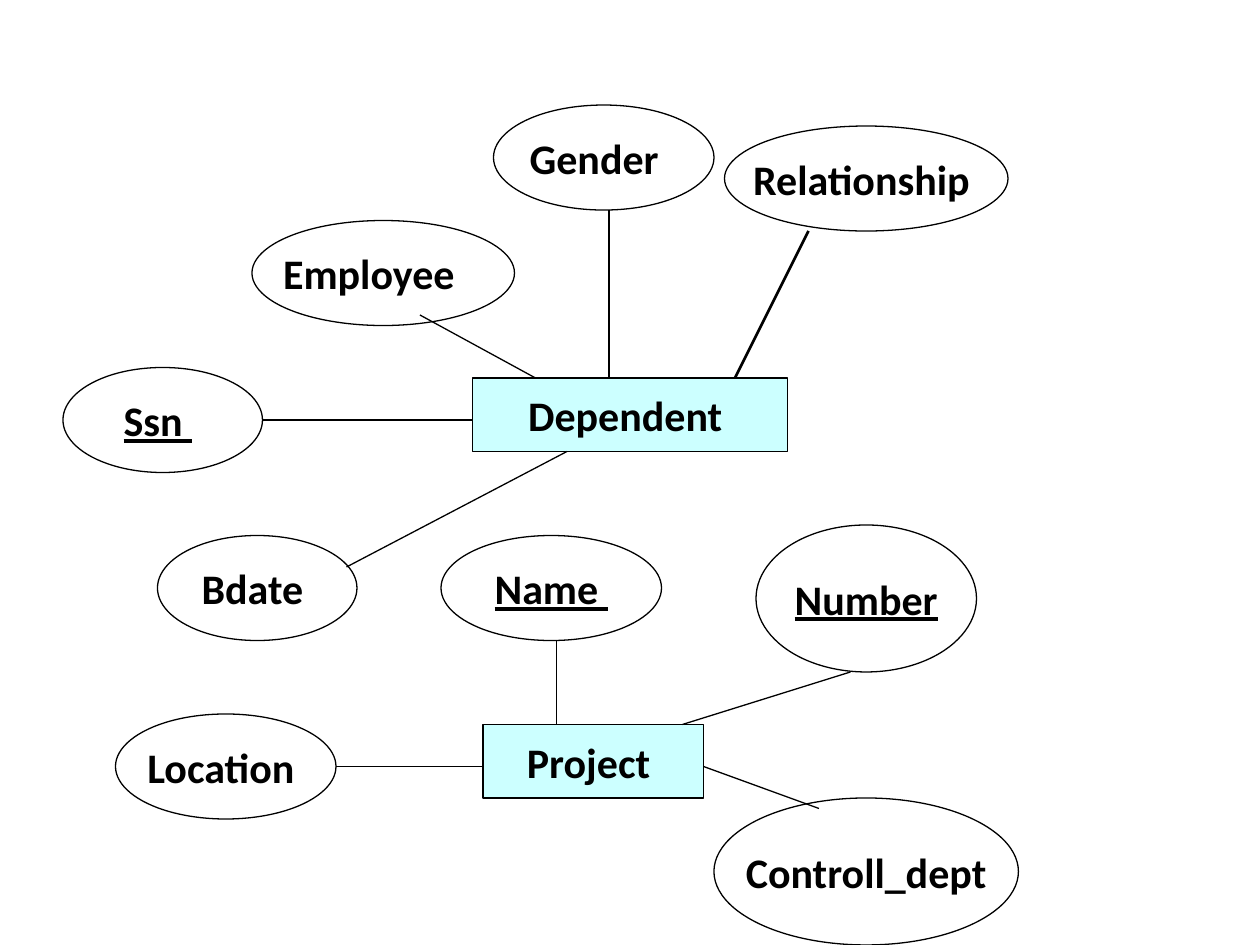
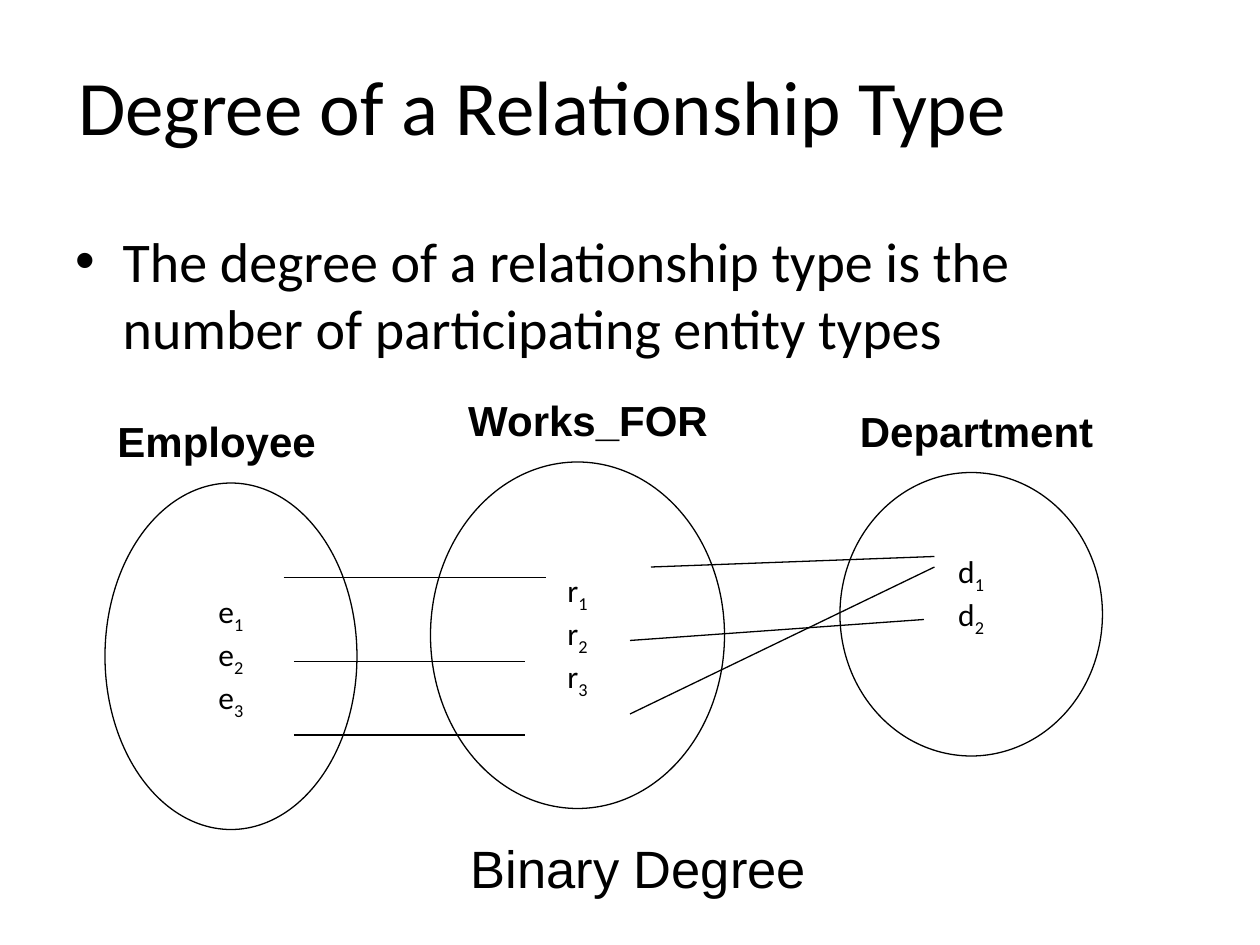
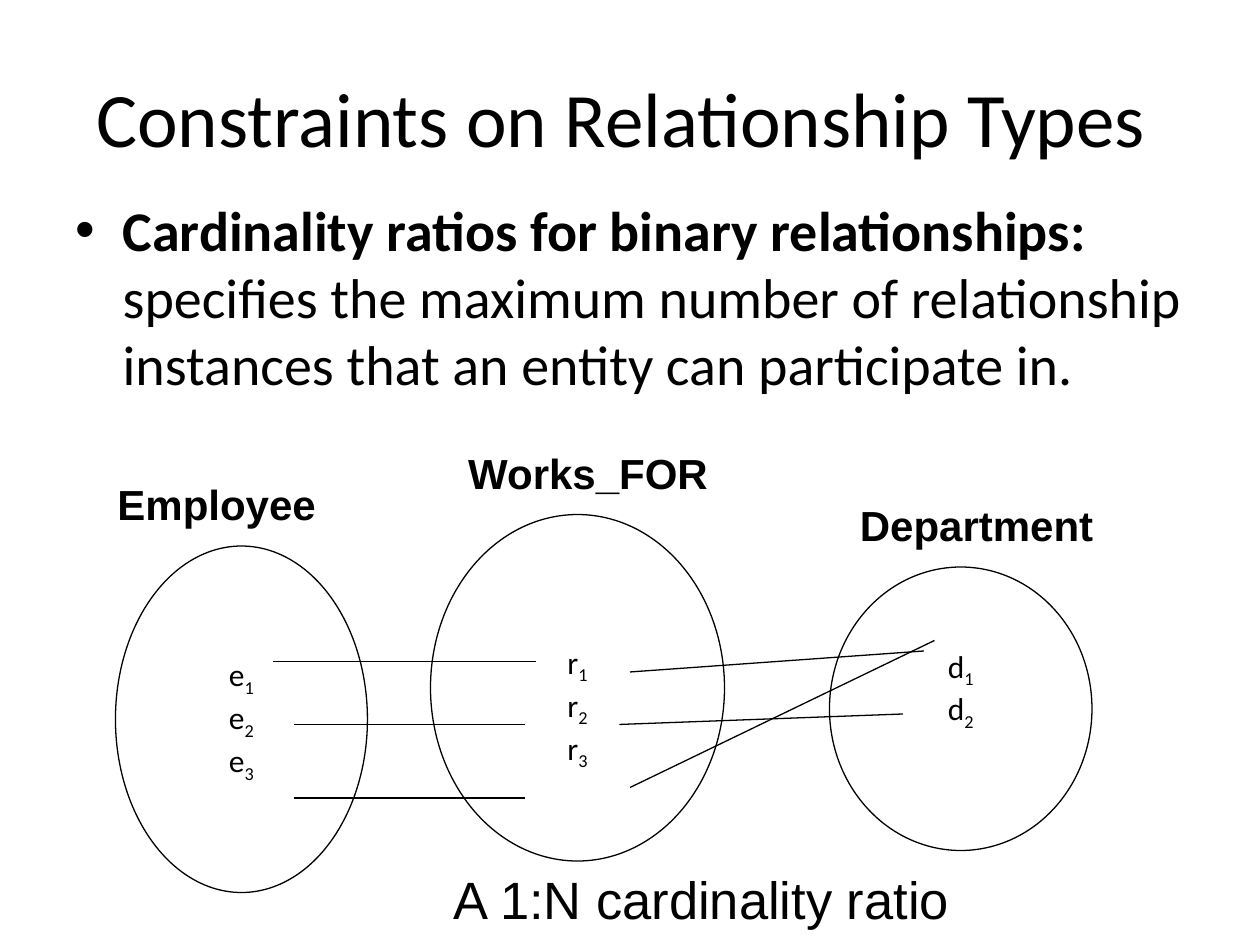
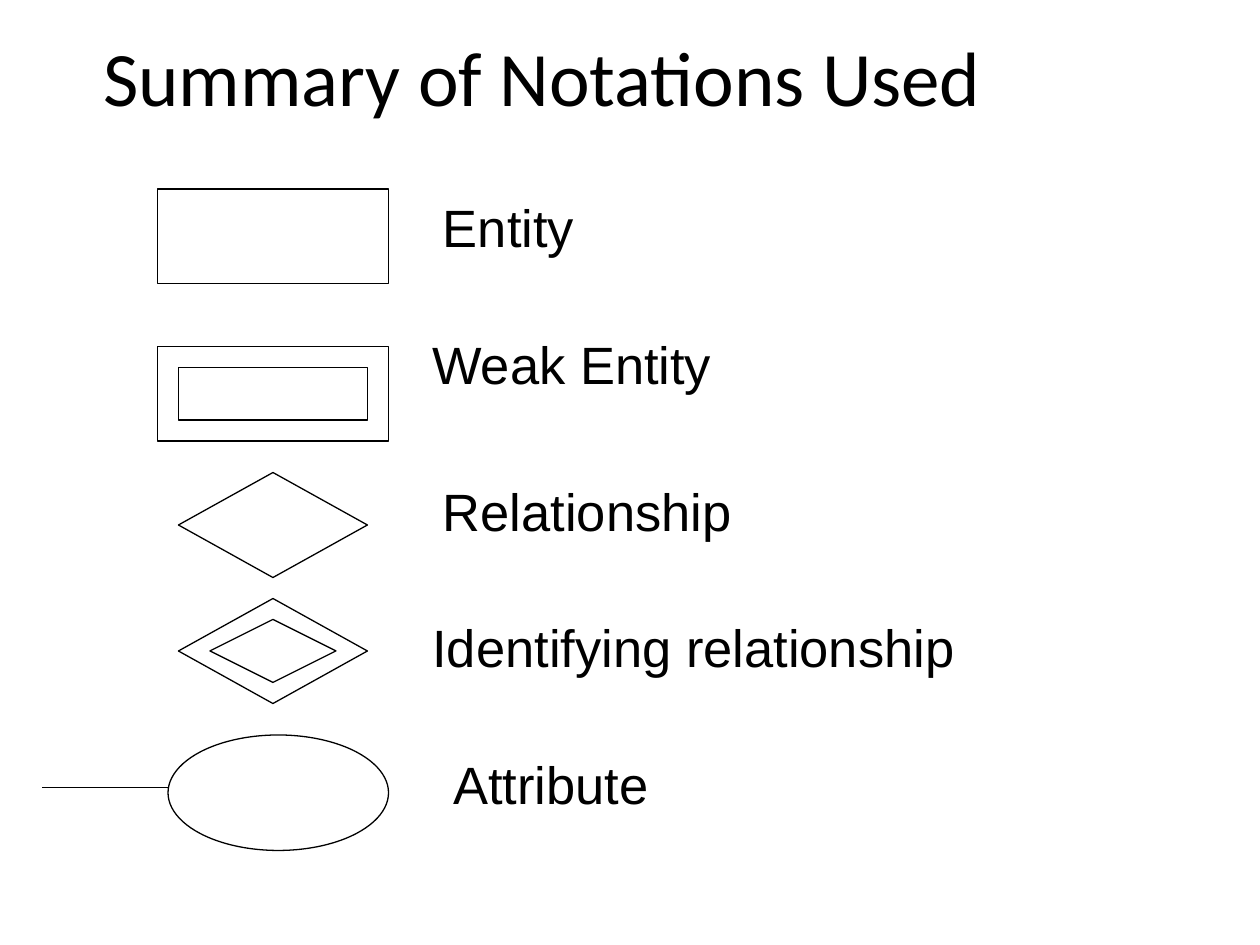
from dataclasses import dataclass
from typing import NamedTuple

from lxml import etree
from pptx import Presentation
from pptx import util as u
from pptx.dml.color import RGBColor
from pptx.enum import shapes, text
from pptx.oxml import ns

MSO = shapes.MSO_SHAPE
LEFT, CENTER = text.PP_ALIGN.LEFT, text.PP_ALIGN.CENTER
TOP, MIDDLE = text.MSO_ANCHOR.TOP, text.MSO_ANCHOR.MIDDLE


@dataclass(frozen=True)
class Theme:
    ink: RGBColor = RGBColor(0, 0, 0)
    entity: RGBColor = RGBColor(0xCC, 0xFF, 0xFF)
    main_font: str = "Calibri"
    label_font: str = "Arial"
    title: int = 44
    body: int = 32
    caption: int = 30
    label: int = 24
    member: int = 18
    line: float = 0.75


THEME = Theme()


class Box(NamedTuple):
    """Left, top, width and height in grid units."""
    x: float
    y: float
    w: float
    h: float


class Line(NamedTuple):
    x1: float
    y1: float
    x2: float
    y2: float
    width: float = THEME.line


class Run(NamedTuple):
    text: str
    bold: bool = False
    subscript: bool = False


class Node(NamedTuple):
    """An entity or attribute; pad_right moves its text to the left."""
    text: str
    box: Box
    key: bool = False
    pad_right: float = 0


class EntitySet(NamedTuple):
    name: str
    label: Box
    oval: Box
    letter: str
    count: int
    align: text.PP_ALIGN = CENTER
    pad_top: float = 0
    pad_bottom: float = 0


class Notation(NamedTuple):
    name: str
    label: Box
    preset: MSO
    outlines: tuple[Box, ...]


def grid(n: float) -> u.Length:
    """The layout grid has twelve units to the inch."""
    return u.Cm(2.54 * n / 12)


def place(sp, box: Box) -> None:
    sp.left, sp.top, sp.width, sp.height = map(grid, box)


# Drawing helpers
def write(tf, *paragraphs, size: int, font: str = THEME.main_font, bold: bool = False,
          underline: bool = False, align=LEFT, anchor=TOP, wrap: bool = True,
          bullet: bool = False) -> None:
    """Write paragraphs, each a string or a list of Runs."""
    tf.word_wrap, tf.vertical_anchor = wrap, anchor
    for i, content in enumerate(paragraphs):
        p = tf.paragraphs[0] if i == 0 else tf.add_paragraph()
        p.alignment = align
        if bullet:
            pPr = p._p.get_or_add_pPr()
            pPr.set("marL", str(grid(4.5)))
            pPr.set("indent", str(-grid(4.5)))
            etree.SubElement(pPr, ns.qn("a:buFont"), typeface="Arial")
            etree.SubElement(pPr, ns.qn("a:buChar"), char="•")
        for run in [Run(content)] if isinstance(content, str) else content:
            r = p.add_run()
            r.text = run.text
            r.font.size, r.font.name = u.Pt(size), font
            r.font.bold, r.font.underline = bold or run.bold, underline
            r.font.color.rgb = THEME.ink
            if run.subscript:
                r._r.get_or_add_rPr().set("baseline", "-25000")


def add_text(s, box: Box, *paragraphs, grow: bool = True, **fmt) -> None:
    tf = s.shapes.add_textbox(*map(grid, box)).text_frame
    write(tf, *paragraphs, **fmt)
    if grow:
        tf.auto_size = text.MSO_AUTO_SIZE.SHAPE_TO_FIT_TEXT


def add_outline(s, preset: MSO, box: Box, fill: RGBColor | None = None):
    sp = s.shapes.add_shape(preset, *map(grid, box))
    sp.shadow.inherit = False
    if fill is None:
        sp.fill.background()
    else:
        sp.fill.solid()
        sp.fill.fore_color.rgb = fill
    sp.line.color.rgb, sp.line.width = THEME.ink, u.Pt(THEME.line)
    return sp


def add_line(s, line: Line) -> None:
    cxn = s.shapes.add_connector(shapes.MSO_CONNECTOR.STRAIGHT, *map(grid, line[:4]))
    cxn.line.color.rgb, cxn.line.width = THEME.ink, u.Pt(line.width)
    etree.SubElement(cxn._element.spPr, ns.qn("a:effectLst"))


def add_node(s, node: Node, preset: MSO, fill: RGBColor | None = None) -> None:
    tf = add_outline(s, preset, node.box, fill).text_frame
    tf.margin_right += grid(node.pad_right)
    write(tf, node.text, size=THEME.label, bold=True, underline=node.key,
          align=CENTER, anchor=MIDDLE, wrap=False)


def add_entity_set(s, group: EntitySet) -> None:
    tf = add_outline(s, MSO.OVAL, group.oval).text_frame
    tf.margin_top += grid(group.pad_top)
    tf.margin_bottom += grid(group.pad_bottom)
    members = [[Run(group.letter), Run(str(n), subscript=True)]
               for n in range(1, group.count + 1)]
    write(tf, *members, size=THEME.member, align=CENTER, anchor=MIDDLE, wrap=False)
    add_text(s, group.label, group.name, size=THEME.label, font=THEME.label_font,
             bold=True, align=group.align)


def add_titled_slide(prs, title: str, box: Box):
    s = prs.slides.add_slide(prs.slide_layouts[5])
    place(s.shapes.title, box)
    write(s.shapes.title.text_frame, title, size=THEME.title, align=CENTER, anchor=MIDDLE)
    return s


def add_caption(s, box: Box, caption: str, align=LEFT) -> None:
    add_text(s, box, caption, size=THEME.caption, font=THEME.label_font, align=align)


def add_relationship_slide(prs, title: str, title_box: Box, body: list[Run], body_box: Box,
                           groups: list[EntitySet], links: list[Line],
                           caption: str, caption_box: Box, caption_align=LEFT) -> None:
    s = add_titled_slide(prs, title, title_box)
    add_text(s, body_box, body, grow=False, size=THEME.body, bullet=True)
    for group in groups:
        add_entity_set(s, group)
    for link in links:
        add_line(s, link)
    add_caption(s, caption_box, caption, caption_align)


# Entities and attributes
ENTITIES = [
    Node("Dependent ", Box(45, 36, 30, 7)),
    Node("Project ", Box(46, 69, 21, 7)),
]
ATTRIBUTES = [
    Node("Relationship ", Box(69, 12, 27, 10)),
    Node("Gender ", Box(47, 10, 21, 10), pad_right=0.9),
    Node("Employee ", Box(24, 21, 25, 10), pad_right=1.8),
    Node("Ssn ", Box(6, 35, 19, 10), key=True, pad_right=0.9),
    Node("Bdate ", Box(15, 51, 19, 10)),
    Node("Number", Box(72, 50, 21, 14), key=True),
    Node("Name ", Box(42, 51, 21, 10), key=True),
    Node("Controll_dept", Box(68, 76, 29, 14)),
    Node("Location ", Box(11, 68, 21, 10)),
]
ATTRIBUTE_LINES = [
    Line(70, 36, 77, 22, 1.5), Line(58, 20, 58, 36, 1), Line(40, 30, 51, 36),
    Line(25, 40, 45, 40), Line(54, 43, 33, 54), Line(65, 69, 81, 64),
    Line(67, 73, 78, 77), Line(32, 73, 46, 73), Line(53, 61, 53, 69),
]

# Entity sets of the two relationship slides
MEMBER_LINE = 3.66  # height of one line of members
DEGREE_SETS = [
    EntitySet("Employee", Box(10, 39, 26, 6), Box(10, 46, 24, 33), "e", 3, LEFT),
    EntitySet("Works_FOR", Box(40, 37, 32, 6), Box(41, 44, 28, 33), "r", 3),
    EntitySet("Department", Box(79, 38, 28, 6), Box(80, 45, 25, 27), "d", 2,
              pad_bottom=MEMBER_LINE),
]
DEGREE_LINKS = [
    Line(27, 55, 52, 55), Line(28, 63, 50, 63), Line(28, 70, 50, 70),
    Line(89, 53, 62, 54), Line(89, 54, 60, 68), Line(88, 59, 60, 61),
]
RATIO_SETS = [
    EntitySet("Employee", Box(10, 45, 26, 6), Box(11, 52, 24, 33), "e", 3, LEFT),
    EntitySet("Works_FOR", Box(40, 42, 32, 6), Box(41, 49, 28, 33), "r", 3,
              pad_top=MEMBER_LINE),
    EntitySet("Department", Box(79, 47, 28, 6), Box(79, 54, 25, 27), "d", 2,
              pad_bottom=MEMBER_LINE),
]
RATIO_LINKS = [
    Line(26, 63, 51, 63), Line(28, 69, 50, 69), Line(28, 76, 50, 76),
    Line(86, 68, 59, 69), Line(89, 61, 60, 75), Line(88, 62, 60, 64),
]

# Notation key
NOTATIONS = [
    Notation("Entity", Box(41, 18, 28, 7.2), MSO.RECTANGLE, (Box(15, 18, 22, 9),)),
    Notation("Weak Entity", Box(40, 31, 34, 7.2), MSO.RECTANGLE,
             (Box(15, 33, 22, 9), Box(17, 35, 18, 5))),
    Notation("Relationship", Box(41, 45, 37, 7.2), MSO.FLOWCHART_DECISION,
             (Box(17, 45, 18, 10),)),
    Notation("Identifying relationship", Box(40, 58, 58, 7.2), MSO.FLOWCHART_DECISION,
             (Box(17, 57, 18, 10), Box(20, 59, 12, 6))),
    Notation("Attribute", Box(42, 71, 35, 7.2), MSO.OVAL, (Box(16, 70, 21, 11),)),
]


def main() -> None:
    prs = Presentation()
    prs.slide_width, prs.slide_height = grid(120), grid(90)

    # Slide 1: entities with their attributes
    s = prs.slides.add_slide(prs.slide_layouts[6])
    for entity in ENTITIES:
        add_node(s, entity, MSO.RECTANGLE, THEME.entity)
    for attribute in ATTRIBUTES:
        add_node(s, attribute, MSO.OVAL)
    for line in ATTRIBUTE_LINES:
        add_line(s, line)

    # Slide 2: degree
    add_relationship_slide(
        prs, "Degree of a Relationship Type ", Box(0, 1.5, 105, 17),
        [Run("The degree of a relationship type is the number of participating entity types")],
        Box(6, 21, 108, 59.4), DEGREE_SETS, DEGREE_LINKS,
        "Binary Degree ", Box(37, 79, 49, 7.2), CENTER)

    # Slide 3: cardinality
    add_relationship_slide(
        prs, "Constraints on Relationship Types ", Box(6, 3.6, 108, 15),
        [Run("Cardinality ratios for binary relationships:", bold=True),
         Run(" specifies the maximum number of relationship instances "
             "that an entity can participate in.")],
        Box(6, 18, 108, 62.4), RATIO_SETS, RATIO_LINKS,
        "A 1:N cardinality ratio", Box(42, 82, 58, 7.2))

    # Slide 4: notation key
    s = add_titled_slide(prs, "Summary of Notations Used ", Box(0, 1.5, 105, 11.4))
    for notation in NOTATIONS:
        for box in notation.outlines:
            add_outline(s, notation.preset, box)
        add_caption(s, notation.label, notation.name)
    add_line(s, Line(16, 75, 4, 75))

    prs.save("out.pptx")


if __name__ == "__main__":
    main()
